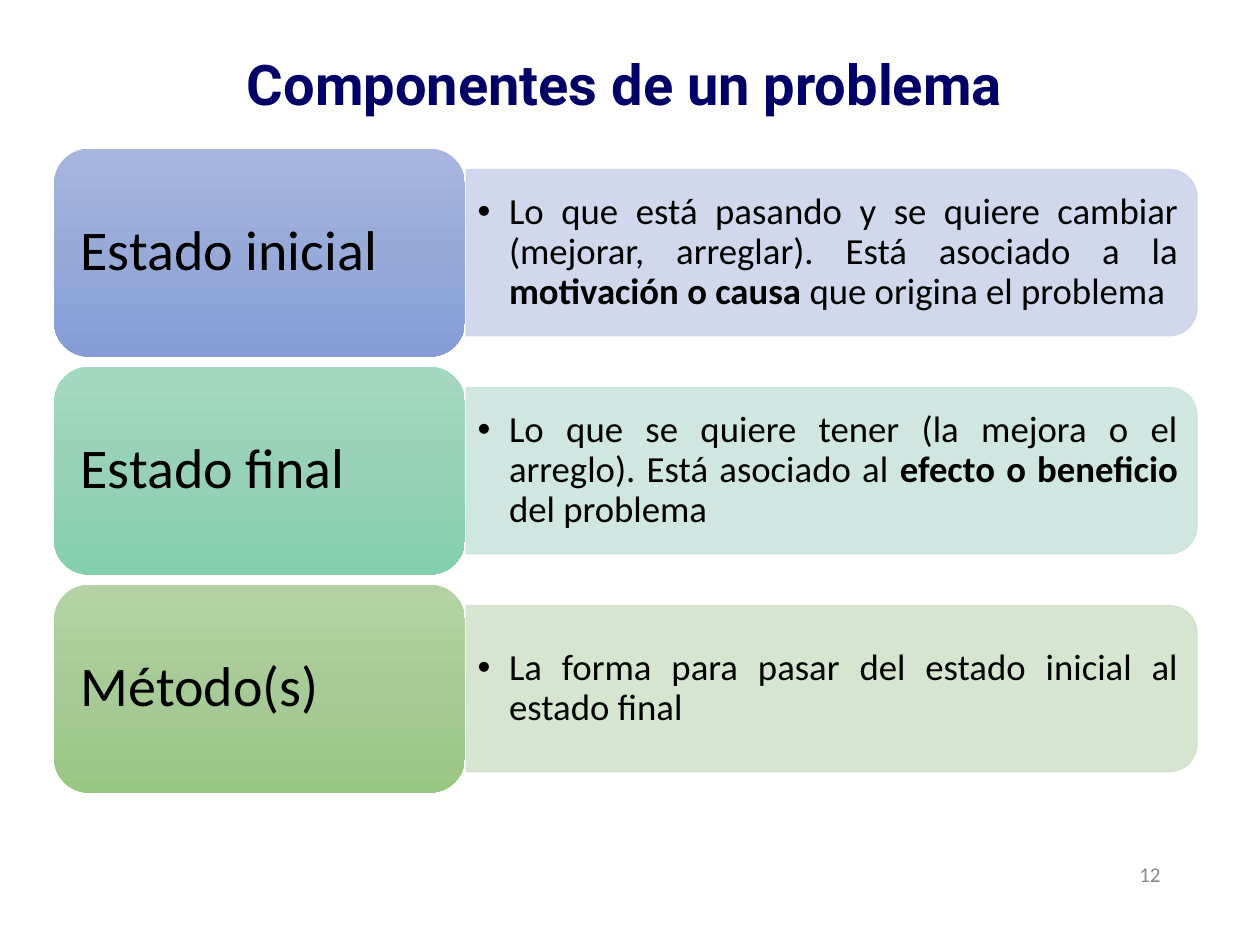
import copy
from dataclasses import dataclass

import pptx
import pptx.dml.color
import pptx.enum.shapes
import pptx.enum.text
import pptx.oxml
import pptx.oxml.ns
import pptx.util
from lxml import etree

SHAPES = pptx.enum.shapes.MSO_SHAPE
ALIGN = pptx.enum.text.PP_ALIGN
qn = pptx.oxml.ns.qn


@dataclass(frozen=True)
class Theme:
    """Colours, fonts and type sizes of the slide."""
    title_font: str = "Roboto"
    body_font: str = "Calibri"
    title_color: str = "000066"
    text_color: str = "000000"
    number_color: str = "888888"
    heading_size: int = 32
    detail_size: int = 21
    number_size: int = 12
    corner: float = 0.167
    panel_opacity: int = 89


@dataclass(frozen=True)
class Component:
    """One row: its label, its detail runs as (text, bold), and its colours."""
    label: str
    detail: tuple
    panel: str
    gradient: tuple


COMPONENTS = [
    Component("Estado inicial",
              (("Lo que está pasando y se quiere cambiar (mejorar, arreglar). "
                "Está asociado a la ", False),
               ("motivación o causa ", True),
               ("que origina el problema", False)),
              "CCD3EA", ("A6B6DE", "97AAD8", "859CD6")),
    Component("Estado final",
              (("Lo que se quiere tener (la mejora o el arreglo). "
                "Está asociado al ", False),
               ("efecto o beneficio ", True),
               ("del problema", False)),
              "CBE5DE", ("A5D8C1", "97D1B7", "84CFAE")),
    Component("Método(s)",
              (("La forma para pasar del estado inicial al estado final", False),),
              "D2E2CB", ("B3D3A4", "A7CB97", "9AC684")),
]

ROW_TOP, ROW_PITCH, ROW_HEIGHT = 1.18, 1.73, 1.65
LABEL_LEFT, LABEL_WIDTH = 0.43, 3.26
PANEL_LEFT, PANEL_WIDTH, PANEL_HEIGHT = 3.7, 5.8, 1.32
DETAIL_WIDTH, DETAIL_HEIGHT = 5.74, 1.19


def rgb(color):
    """Turn a hex string into a colour."""
    return pptx.dml.color.RGBColor.from_string(color)


def inches(*lengths):
    """Turn numbers into lengths in inches."""
    return [pptx.util.Inches(length) for length in lengths]


def write_text(shape, runs, *, size, font, color, align, insets=(0.1, 0.05),
               line_spacing=None):
    """Write (text, bold) runs as one middle-anchored paragraph and return it."""
    frame = shape.text_frame
    frame.word_wrap = True
    frame.auto_size = pptx.enum.text.MSO_AUTO_SIZE.NONE
    frame.vertical_anchor = pptx.enum.text.MSO_ANCHOR.MIDDLE
    frame.margin_left, frame.margin_top = inches(*insets)
    frame.margin_right, frame.margin_bottom = inches(*insets)
    paragraph = frame.paragraphs[0]
    paragraph.alignment = align
    paragraph.line_spacing = line_spacing
    for text, bold in runs:
        run = paragraph.add_run()
        run.text = text
        run.font.size = pptx.util.Pt(size)
        run.font.name = font
        run.font.bold = bold
        run.font.color.rgb = rgb(color)
    return paragraph


def add_bullet(paragraph, color, indent=0.25):
    """Give a paragraph a round bullet with a hanging indent."""
    properties = paragraph._p.get_or_add_pPr()
    distance = pptx.util.Inches(indent)
    properties.set("marL", str(distance))
    properties.set("indent", str(-distance))
    bullet_color = etree.SubElement(properties, qn("a:buClr"))
    etree.SubElement(bullet_color, qn("a:srgbClr"), val=color)
    etree.SubElement(properties, qn("a:buFont"), typeface="Arial")
    etree.SubElement(properties, qn("a:buChar"), char="•")


def set_gradient(shape, colors):
    """Fill a shape from top to bottom with evenly spaced colours."""
    shape.fill.gradient()
    shape.fill.gradient_angle = 270
    stop_list = shape._element.spPr.find(".//" + qn("a:gsLst"))
    while len(stop_list) < len(colors):
        stop_list.append(copy.deepcopy(stop_list[0]))
    for index, stop in enumerate(shape.fill.gradient_stops):
        stop.color.rgb = rgb(colors[index])
        stop.position = index / (len(colors) - 1)


def set_opacity(shape, percent):
    """Make the solid fill and line of a shape partly transparent."""
    for color in shape._element.spPr.iter(qn("a:srgbClr")):
        etree.SubElement(color, qn("a:alpha"), val=str(percent * 1000))


class SlideBuilder:
    """Holds the theme and the current slide."""

    def __init__(self, presentation, theme):
        """Start a slide on the title-only layout."""
        self.theme = theme
        self.slide = presentation.slides.add_slide(presentation.slide_layouts[5])

    def title(self, text):
        """Place and format the title placeholder."""
        shape = self.slide.shapes.title
        shape.left, shape.top, shape.width, shape.height = inches(
            0.65, -0.03, 8.62, 1.45)
        write_text(shape, [(text, True)], size=self.theme.heading_size,
                   font=self.theme.title_font, color=self.theme.title_color,
                   align=ALIGN.CENTER, line_spacing=0.9)

    def page_number(self, text):
        """Add the page number at the lower right."""
        box = self.slide.shapes.add_textbox(*inches(7.06, 6.74, 2.25, 0.4))
        write_text(box, [(text, False)], size=self.theme.number_size,
                   font=self.theme.body_font, color=self.theme.number_color,
                   align=ALIGN.RIGHT)

    def panel(self, middle, color):
        """Add a pale panel, turned so that its round corners face right."""
        left = PANEL_LEFT + (PANEL_WIDTH - PANEL_HEIGHT) / 2
        shape = self.slide.shapes.add_shape(
            SHAPES.ROUND_2_SAME_RECTANGLE,
            *inches(left, middle - PANEL_WIDTH / 2, PANEL_HEIGHT, PANEL_WIDTH))
        shape.rotation = 90
        shape.shadow.inherit = False
        shape.adjustments[0] = self.theme.corner
        shape.fill.solid()
        shape.fill.fore_color.rgb = rgb(color)
        shape.line.color.rgb = rgb(color)
        shape.line.width = pptx.util.Pt(0.75)
        set_opacity(shape, self.theme.panel_opacity)

    def detail(self, middle, runs):
        """Add the bulleted text over a panel."""
        box = self.slide.shapes.add_textbox(*inches(
            PANEL_LEFT, middle - DETAIL_HEIGHT / 2, DETAIL_WIDTH, DETAIL_HEIGHT))
        paragraph = write_text(
            box, runs, size=self.theme.detail_size, font=self.theme.body_font,
            color=self.theme.text_color, align=ALIGN.JUSTIFY,
            insets=(0.09, 0.04), line_spacing=0.9)
        add_bullet(paragraph, self.theme.text_color)

    def label(self, middle, text, colors):
        """Add the rounded gradient block that names a component."""
        shape = self.slide.shapes.add_shape(SHAPES.ROUNDED_RECTANGLE, *inches(
            LABEL_LEFT, middle - ROW_HEIGHT / 2, LABEL_WIDTH, ROW_HEIGHT))
        shape.shadow.inherit = False
        shape.adjustments[0] = self.theme.corner
        shape.line.fill.background()
        set_gradient(shape, colors)
        write_text(shape, [(text, False)], size=self.theme.heading_size,
                   font=self.theme.body_font, color=self.theme.text_color,
                   align=ALIGN.JUSTIFY, insets=(0.13, 0.07), line_spacing=0.9)


def main():
    """Build and save the slide."""
    presentation = pptx.Presentation()
    presentation.slide_width, presentation.slide_height = inches(10, 7.5)
    builder = SlideBuilder(presentation, Theme())
    builder.title("Componentes de un problema")
    builder.page_number("12")
    for row, component in enumerate(COMPONENTS):
        middle = ROW_TOP + row * ROW_PITCH + ROW_HEIGHT / 2
        builder.panel(middle, component.panel)
        builder.detail(middle, component.detail)
        builder.label(middle, component.label, component.gradient)
    presentation.save("out.pptx")


main()
